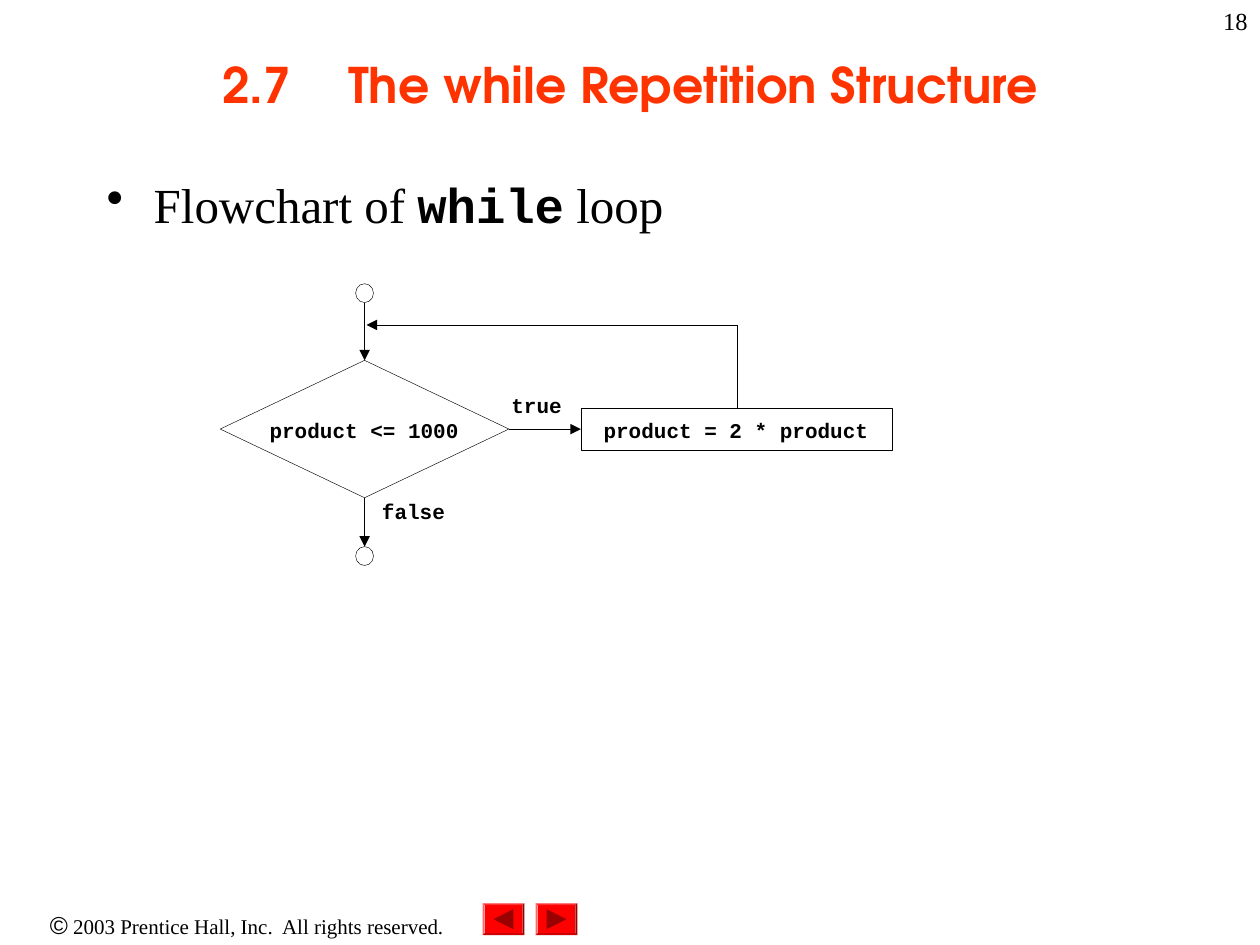
from lxml import etree
from pptx import Presentation, util as u
from pptx.dml.color import RGBColor
from pptx.enum import shapes, text
from pptx.oxml.ns import qn

# Content: runs are (text, font name, size, colour, bold)
SERIF, MONO, HEADING = "Times New Roman", "Courier New", "TeX Gyre Adventor"
BLACK, WHITE, RED, DARK_RED, ORANGE = "000000", "FFFFFF", "FF0000", "990000", "FF3300"

COPYRIGHT = [("©", "Arial", 14, BLACK, False),
             (" 2003 Prentice Hall, Inc.  All rights reserved.", SERIF, 12, BLACK, False)]
TITLE = [("2.7\tThe while Repetition Structure", HEADING, 28, ORANGE, True)]
BODY = [("Flowchart of ", SERIF, 28, BLACK, False),
        ("while", MONO, 28, BLACK, True),
        (" loop", SERIF, 28, BLACK, False)]
PAGE_NUMBER = [("18", SERIF, 14, BLACK, False)]

# Flowchart geometry in centimetres
AXIS_X, MIDDLE_Y = 7.35, 8.65
DIAMOND_W, DIAMOND_H = 5.82, 2.77
CIRCLE_W, CIRCLE_H = 0.36, 0.38
START_Y, END_Y = 5.72, 11.02
ACTION_X, ACTION_W, ACTION_H = 11.71, 6.27, 0.84
LOOP_X, LOOP_Y = 14.87, 6.55
DIAMOND_BOTTOM = MIDDLE_Y + DIAMOND_H / 2
DIAMOND_TOP = MIDDLE_Y - DIAMOND_H / 2

# Labels: text, left, top, width, height, alignment
LABELS = [
    ("product <= 1000", 5.13, 8.41, 4.42, 0.61, "CENTER"),
    ("product = 2 * product", 11.81, 8.41, 6.05, 0.64, "CENTER"),
    ("true", 10.31, 7.92, 1.3, 0.76, "LEFT"),
    ("false", 7.7, 10.06, 1.57, 0.76, "LEFT"),
]
# Lines: from x, from y, to x, to y, arrow at the end
LINES = [
    (AXIS_X, START_Y + CIRCLE_H, AXIS_X, DIAMOND_TOP, True),
    (AXIS_X, DIAMOND_BOTTOM, AXIS_X, END_Y, True),
    (AXIS_X + DIAMOND_W / 2, MIDDLE_Y, ACTION_X, MIDDLE_Y, True),
    (LOOP_X, MIDDLE_Y - ACTION_H / 2, LOOP_X, LOOP_Y, False),
    (LOOP_X, LOOP_Y, AXIS_X + 0.04, LOOP_Y, True),
]

# Navigation buttons: left edge, triangle rotation
BUTTONS = [(9.73, -90), (10.8, 90)]
BUTTON_Y, BUTTON_W, BUTTON_H, TRIANGLE = 18.21, 0.84, 0.64, 0.4

presentation = Presentation()
presentation.slide_width, presentation.slide_height = u.Cm(25.4), u.Cm(19.05)
slide = presentation.slides.add_slide(presentation.slide_layouts[6])


def color(value):
    return RGBColor.from_string(value)


def add_text(runs, box, alignment="LEFT", insets=(0.25, 0.13), anchor="TOP",
             wrap=True, tabs=False, bullet=False):
    frame = slide.shapes.add_textbox(*map(u.Cm, box)).text_frame
    side, end = map(u.Cm, insets)
    frame_format = {
        "margin_left": side, "margin_right": side,
        "margin_top": end, "margin_bottom": end, "word_wrap": wrap,
        "vertical_anchor": getattr(text.MSO_ANCHOR, anchor),
    }
    for name, value in frame_format.items():
        setattr(frame, name, value)
    paragraph = frame.paragraphs[0]
    paragraph.alignment = getattr(text.PP_ALIGN, alignment)
    properties = paragraph._p.get_or_add_pPr()
    if bullet:
        properties.set("marL", str(u.Cm(0.95)))
        properties.set("indent", str(u.Cm(-0.95)))
        etree.SubElement(properties, qn("a:buChar"), char="•")
    if tabs:
        stops = etree.SubElement(properties, qn("a:tabLst"))
        for number in range(8):
            etree.SubElement(stops, qn("a:tab"), pos=str(u.Cm(2.54 * number)), algn="l")
    for content, font_name, size, font_color, bold in runs:
        run = paragraph.add_run()
        run.text = content
        run.font.color.rgb = color(font_color)
        for name, value in {"name": font_name, "size": u.Pt(size), "bold": bold}.items():
            setattr(run.font, name, value)


def add_shape(kind, box, fill=None, line=None):
    shape = slide.shapes.add_shape(getattr(shapes.MSO_SHAPE, kind), *map(u.Cm, box))
    shape.shadow.inherit = False
    if fill:
        shape.fill.solid()
        shape.fill.fore_color.rgb = color(fill)
    else:
        shape.fill.background()
    if line:
        shape.line.color.rgb = color(line)
        shape.line.width = u.Pt(0.25)
    else:
        shape.line.fill.background()
    return shape


def add_line(x1, y1, x2, y2, arrow):
    connector = slide.shapes.add_connector(
        shapes.MSO_CONNECTOR.STRAIGHT, *map(u.Cm, (x1, y1, x2, y2)))
    connector.line.color.rgb = color(BLACK)
    connector.line.width = u.Pt(0.25)
    if arrow:
        etree.SubElement(connector.line._get_or_add_ln(), qn("a:tailEnd"), type="triangle")
    etree.SubElement(connector._element.spPr, qn("a:effectLst"))


# Footer and navigation buttons
add_text(COPYRIGHT, (0, 18.21, 9.96, 0.86), "CENTER")
for left, rotation in BUTTONS:
    button = add_shape("BEVEL", (left, BUTTON_Y, BUTTON_W, BUTTON_H), RED)
    button.adjustments[0] = 0.06
    triangle = add_shape("ISOSCELES_TRIANGLE", (
        left + (BUTTON_W - TRIANGLE) / 2, BUTTON_Y + (BUTTON_H - TRIANGLE) / 2,
        TRIANGLE, TRIANGLE), DARK_RED)
    triangle.rotation = rotation

# Title and bullet
add_text(TITLE, (1.9, 0.2, 21.6, 2.97), "CENTER", anchor="MIDDLE", tabs=True)
add_text(BODY, (1.9, 3.38, 21.6, 14.6), bullet=True)

# Flowchart
add_shape("DIAMOND", (AXIS_X - DIAMOND_W / 2, DIAMOND_TOP, DIAMOND_W, DIAMOND_H), WHITE, BLACK)
add_shape("RECTANGLE", (ACTION_X, MIDDLE_Y - ACTION_H / 2, ACTION_W, ACTION_H), line=BLACK)
for top in (START_Y, END_Y):
    add_shape("OVAL", (AXIS_X - CIRCLE_W / 2, top, CIRCLE_W, CIRCLE_H), line=BLACK)
for line in LINES:
    add_line(*line)
for label, *box, alignment in LABELS:
    add_text([(label, MONO, 12, BLACK, True)], box, alignment, insets=(0, 0), wrap=False)

# Page number
add_text(PAGE_NUMBER, (20.12, 0, 5.28, 1.27), "RIGHT")

presentation.save("out.pptx")
